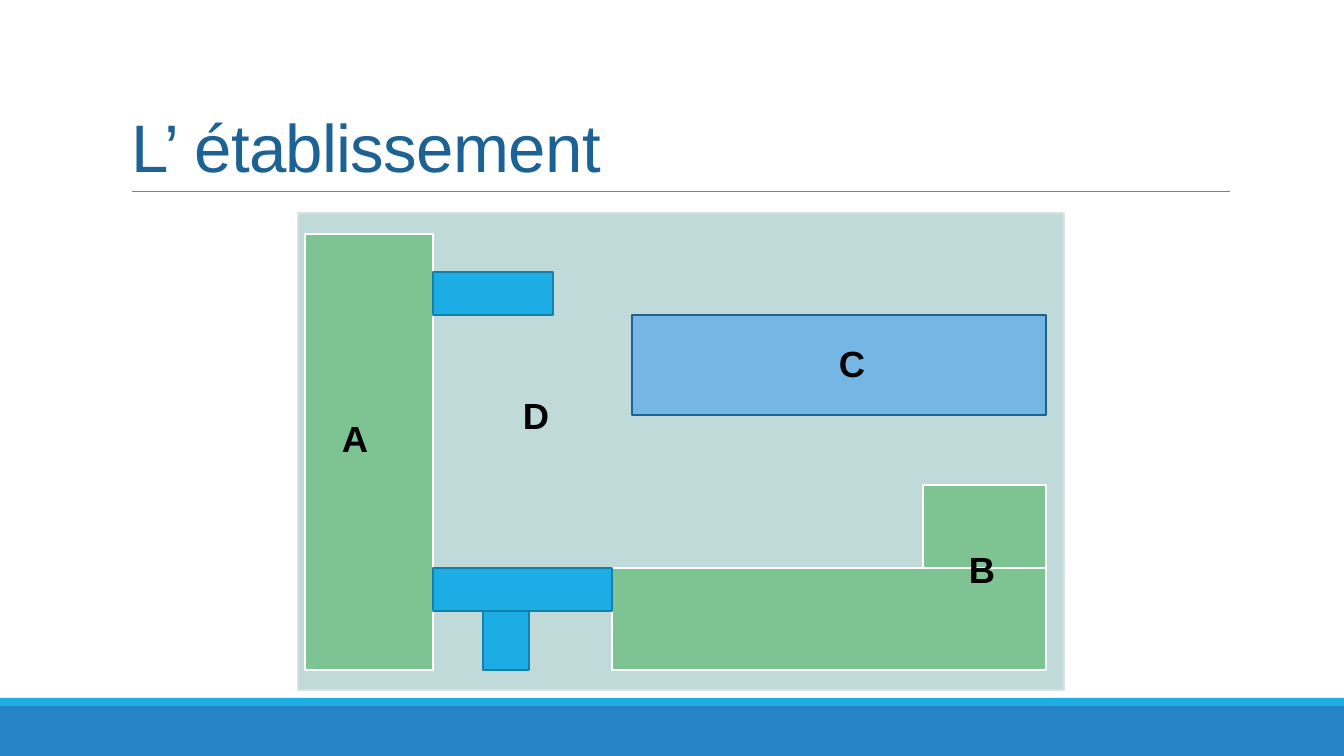
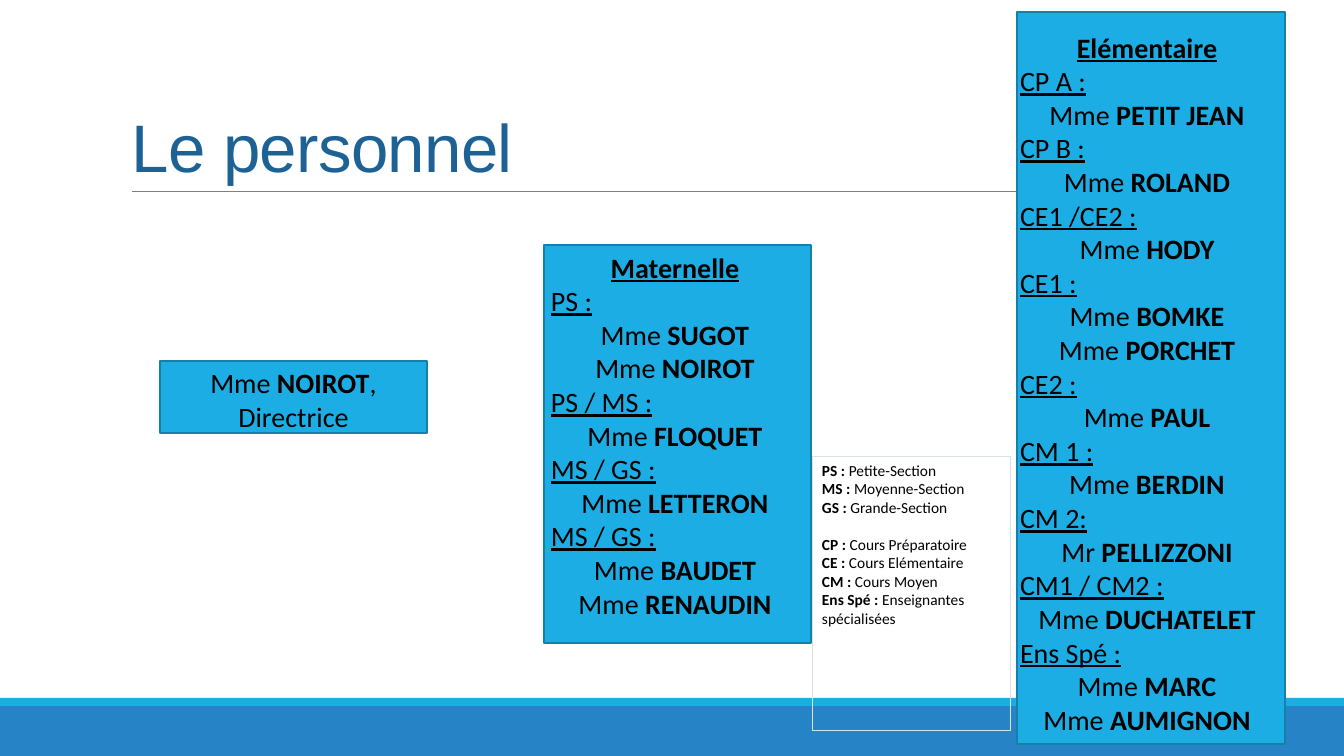
from dataclasses import dataclass
from typing import Optional

from lxml.etree import SubElement
from pptx import Presentation
from pptx.dml.color import RGBColor
from pptx.enum.shapes import MSO_CONNECTOR, MSO_SHAPE
from pptx.enum.text import MSO_ANCHOR, PP_ALIGN
from pptx.oxml.ns import qn
from pptx.util import Emu, Pt

PX_PER_INCH = 100.8
EMU_PER_PX = 914400 / PX_PER_INCH
SLIDE_WIDTH, SLIDE_HEIGHT = 1344, 756
BAND_TOP, BAND_STRIPE = 698, 8
LINE_WIDTH = 1.25

COLORS = {
    "band": "2683C6",
    "accent": "1CADE4",
    "accent_line": "1580A9",
    "title": "1D6294",
    "rule": "808080",
    "ground": "C0DAD9",
    "pale_line": "D9E0E6",
    "building": "7EC492",
    "white": "FFFFFF",
    "hall": "75B6E5",
    "text": "000000",
}


@dataclass(frozen=True)
class Box:
    left: int
    top: int
    width: int
    height: int


@dataclass(frozen=True)
class Block:
    box: Box
    fill: Optional[str]
    line: Optional[str]
    kind: MSO_SHAPE = MSO_SHAPE.FLOWCHART_PROCESS
    line_width: float = LINE_WIDTH


@dataclass(frozen=True)
class Style:
    font: str
    size: int
    color: str = "text"


@dataclass(frozen=True)
class Run:
    text: str
    bold: bool = False
    underline: bool = False


@dataclass(frozen=True)
class Line:
    runs: tuple[Run, ...]
    centered: bool = False
    line_spacing: Optional[float] = None
    space_before: float = 0
    space_after: float = 0


@dataclass(frozen=True)
class Insets:
    left: int = 10
    top: int = 5
    right: int = 10
    bottom: int = 5


@dataclass(frozen=True)
class Letter:
    text: str
    left: int
    top: int


@dataclass(frozen=True)
class Section:
    label: str
    teachers: tuple[str, ...]


@dataclass(frozen=True)
class Panel:
    heading: str
    box: Box
    insets: Insets
    sections: tuple[Section, ...]


TITLE_STYLE = Style("Arial", 48, "title")
LETTER_STYLE = Style("Arial", 26)
STAFF_STYLE = Style("Calibri", 20)
LEGEND_STYLE = Style("Calibri", 11)

BANDS = (
    Block(Box(0, BAND_TOP + BAND_STRIPE, SLIDE_WIDTH, SLIDE_HEIGHT - BAND_TOP - BAND_STRIPE),
          "band", None, MSO_SHAPE.RECTANGLE),
    Block(Box(0, BAND_TOP, SLIDE_WIDTH, BAND_STRIPE), "accent", None, MSO_SHAPE.RECTANGLE),
)

PLAN = (
    Block(Box(298, 213, 766, 477), "ground", "pale_line"),
    Block(Box(305, 234, 128, 436), "building", "white"),
    Block(Box(612, 568, 434, 102), "building", "white"),
    Block(Box(923, 485, 123, 83), "building", "white"),
    Block(Box(433, 568, 179, 43), "accent", "accent_line", MSO_SHAPE.RECTANGLE),
    Block(Box(483, 611, 46, 59), "accent", "accent_line"),
    Block(Box(632, 315, 414, 100), "hall", "title"),
    Block(Box(433, 272, 120, 43), "accent", "accent_line", MSO_SHAPE.RECTANGLE),
)

LETTERS = (
    Letter("A", 332, 408),
    Letter("B", 959, 539),
    Letter("C", 829, 333),
    Letter("D", 513, 385),
)

LEGEND = (
    ("PS :", "Petite-Section"),
    ("MS :", "Moyenne-Section"),
    ("GS :", "Grande-Section"),
    ("CP :", "Cours Préparatoire"),
    ("CE :", "Cours Elémentaire"),
    ("CM :", "Cours Moyen"),
    ("Ens Spé :", "Enseignantes spécialisées"),
)

PANELS = (
    Panel("Maternelle", Box(544, 245, 267, 398), Insets(left=7, right=12), (
        Section("PS :", ("Mme SUGOT", "Mme NOIROT")),
        Section("PS / MS :", ("Mme FLOQUET",)),
        Section("MS / GS :", ("Mme LETTERON",)),
        Section("MS / GS :", ("Mme BAUDET", "Mme RENAUDIN")),
    )),
    Panel("Elémentaire", Box(1017, 12, 268, 732), Insets(left=3, top=18, right=11), (
        Section("CP A :", ("Mme PETIT JEAN",)),
        Section("CP B :", ("Mme ROLAND",)),
        Section("CE1 /CE2 :", ("Mme HODY",)),
        Section("CE1 :", ("Mme BOMKE", "Mme PORCHET")),
        Section("CE2 :", ("Mme PAUL",)),
        Section("CM 1 :", ("Mme BERDIN",)),
        Section("CM 2:", ("Mr PELLIZZONI",)),
        Section("CM1 / CM2 :", ("Mme DUCHATELET",)),
        Section("Ens Spé :", ("Mme MARC", "Mme AUMIGNON")),
    )),
)


def px(value: int) -> Emu:
    return Emu(round(value * EMU_PER_PX))


def rgb(name: str) -> RGBColor:
    return RGBColor.from_string(COLORS[name])


def place(box: Box) -> tuple[Emu, Emu, Emu, Emu]:
    return px(box.left), px(box.top), px(box.width), px(box.height)


def draw_block(slide, block: Block):
    shape = slide.shapes.add_shape(block.kind, *place(block.box))
    shape.shadow.inherit = False
    if block.fill:
        shape.fill.solid()
        shape.fill.fore_color.rgb = rgb(block.fill)
    else:
        shape.fill.background()
    if block.line:
        shape.line.color.rgb = rgb(block.line)
        shape.line.width = Pt(block.line_width)
    else:
        shape.line.fill.background()
    return shape


def write_lines(shape, lines: list[Line], style: Style, insets: Insets = Insets(),
                anchor: MSO_ANCHOR = MSO_ANCHOR.TOP) -> None:
    frame = shape.text_frame
    frame.word_wrap = True
    frame.vertical_anchor = anchor
    frame.margin_left, frame.margin_top = px(insets.left), px(insets.top)
    frame.margin_right, frame.margin_bottom = px(insets.right), px(insets.bottom)
    for index, line in enumerate(lines):
        paragraph = frame.add_paragraph() if index else frame.paragraphs[0]
        paragraph.alignment = PP_ALIGN.CENTER if line.centered else PP_ALIGN.LEFT
        paragraph.line_spacing = line.line_spacing
        paragraph.space_before = Pt(line.space_before)
        paragraph.space_after = Pt(line.space_after)
        for part in line.runs:
            run = paragraph.add_run()
            run.text = part.text
            run.font.name = style.font
            run.font.size = Pt(style.size)
            run.font.color.rgb = rgb(style.color)
            run.font.bold = part.bold
            run.font.underline = part.underline


def draw_rule(slide) -> None:
    rule = slide.shapes.add_connector(MSO_CONNECTOR.STRAIGHT, px(132), px(191), px(1230), px(191))
    rule.line.color.rgb = rgb("rule")
    rule.line.width = Pt(0.5)
    SubElement(rule._element.spPr, qn("a:effectLst"))


def add_titled_slide(presentation, title: str):
    slide = presentation.slides.add_slide(presentation.slide_layouts[6])
    for band in BANDS:
        draw_block(slide, band)
    draw_rule(slide)
    shape = slide.shapes.add_textbox(*place(Box(122, 31, 1109, 160)))
    write_lines(shape, [Line((Run(title),), line_spacing=0.85)], TITLE_STYLE, anchor=MSO_ANCHOR.BOTTOM)
    for run in shape.text_frame.paragraphs[0].runs:
        run._r.get_or_add_rPr().set("spc", "-50")
    return slide


def draw_letter(slide, letter: Letter) -> None:
    shape = slide.shapes.add_textbox(*place(Box(letter.left, letter.top, 75, 90)))
    line = Line((Run(letter.text, bold=True),), line_spacing=1.07, space_after=8)
    write_lines(shape, [line], LETTER_STYLE)


def teacher_line(teacher: str, suffix: str = "") -> Line:
    civility, name = teacher.split(" ", 1)
    runs = (Run(f"{civility} "), Run(name, bold=True))
    return Line(runs + ((Run(suffix),) if suffix else ()), centered=True)


def draw_staff_box(slide, box: Box, lines: list[Line], insets: Insets = Insets()) -> None:
    shape = draw_block(slide, Block(box, "accent", "accent_line"))
    write_lines(shape, lines, STAFF_STYLE, insets)


def draw_panel(slide, panel: Panel) -> None:
    lines = [Line((Run(panel.heading, bold=True, underline=True),), centered=True)]
    for section in panel.sections:
        lines.append(Line((Run(section.label, underline=True),)))
        lines.extend(teacher_line(teacher) for teacher in section.teachers)
    draw_staff_box(slide, panel.box, lines, panel.insets)


def draw_legend(slide) -> None:
    shape = draw_block(slide, Block(Box(812, 456, 198, 274), None, "pale_line", MSO_SHAPE.RECTANGLE, 0.5))
    lines = [
        Line((Run(short, bold=True), Run(f" {meaning}")), space_before=13 if short == "CP :" else 0)
        for short, meaning in LEGEND
    ]
    write_lines(shape, lines, LEGEND_STYLE)


def build_school_slide(presentation) -> None:
    slide = add_titled_slide(presentation, "L’ établissement")
    for block in PLAN:
        draw_block(slide, block)
    for letter in LETTERS:
        draw_letter(slide, letter)


def build_staff_slide(presentation) -> None:
    slide = add_titled_slide(presentation, "Le personnel")
    draw_legend(slide)
    director = [teacher_line("Mme NOIROT", ","), Line((Run("Directrice"),), centered=True)]
    draw_staff_box(slide, Box(160, 361, 267, 72), director)
    for panel in PANELS:
        draw_panel(slide, panel)


def main() -> None:
    presentation = Presentation()
    presentation.slide_width = px(SLIDE_WIDTH)
    presentation.slide_height = px(SLIDE_HEIGHT)
    build_school_slide(presentation)
    build_staff_slide(presentation)
    presentation.save("out.pptx")


if __name__ == "__main__":
    main()
